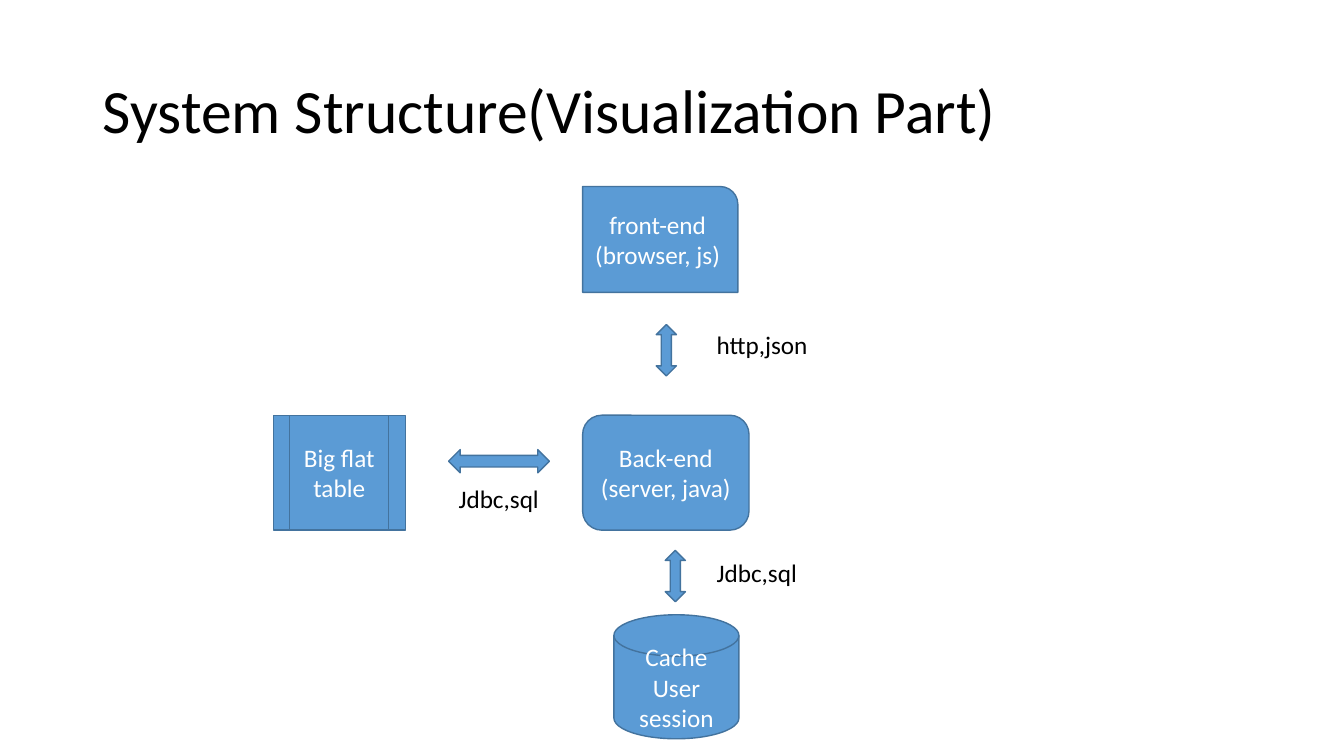
from pptx import Presentation
from pptx.dml.color import RGBColor
from pptx.enum.shapes import MSO_SHAPE
from pptx.enum.text import MSO_ANCHOR, MSO_AUTO_SIZE, PP_ALIGN
from pptx.util import Inches, Pt

SLIDE_WIDTH = Inches(13.333)
SLIDE_HEIGHT = Inches(7.5)
BLUE = RGBColor(0x5B, 0x9B, 0xD5)
DARK_BLUE = RGBColor(0x43, 0x73, 0x9E)
WHITE = RGBColor(0xFF, 0xFF, 0xFF)
BLACK = RGBColor(0x00, 0x00, 0x00)

BACK_END_LEFT = 43.35
MIDDLE_TOP = 54.93
MIDDLE_HEIGHT = 15.2
JDBC_LEFT = 33.38
LABEL_LEFT = 52.58
HTTP_TOP = 42.93
VERTICAL_ARROW = (1.5, 6.8)


def box(left, top, width, height):
    """Turn percentages of the slide into lengths."""
    return (
        int(SLIDE_WIDTH * left / 100),
        int(SLIDE_HEIGHT * top / 100),
        int(SLIDE_WIDTH * width / 100),
        int(SLIDE_HEIGHT * height / 100),
    )


def write(frame, text, size, color, align):
    frame.text = text
    for paragraph in frame.paragraphs:
        paragraph.alignment = align
        paragraph.font.name = "Calibri"
        paragraph.font.size = Pt(size)
        paragraph.font.color.rgb = color


def add_title(slide, text):
    title = slide.shapes.title
    title.left, title.top, title.width, title.height = box(6.9, 5.33, 86.27, 19.33)
    frame = title.text_frame
    write(frame, text, 44, BLACK, PP_ALIGN.LEFT)
    frame.vertical_anchor = MSO_ANCHOR.MIDDLE
    frame.auto_size = MSO_AUTO_SIZE.NONE
    frame.paragraphs[0].line_spacing = 0.9


def add_blue_shape(slide, preset, *area):
    shape = slide.shapes.add_shape(preset, *box(*area))
    shape.shadow.inherit = False
    shape.fill.solid()
    shape.fill.fore_color.rgb = BLUE
    shape.line.color.rgb = DARK_BLUE
    shape.line.width = Pt(1)
    return shape


def add_component(slide, preset, text, *area):
    frame = add_blue_shape(slide, preset, *area).text_frame
    frame.word_wrap = True
    frame.vertical_anchor = MSO_ANCHOR.MIDDLE
    write(frame, text, 18, WHITE, PP_ALIGN.CENTER)


def add_protocol(slide, text, left, top, width):
    frame = slide.shapes.add_textbox(*box(left, top, width, 5.33)).text_frame
    frame.word_wrap = False
    frame.auto_size = MSO_AUTO_SIZE.SHAPE_TO_FIT_TEXT
    write(frame, text, 18, BLACK, PP_ALIGN.LEFT)


def main():
    deck = Presentation()
    deck.slide_width = SLIDE_WIDTH
    deck.slide_height = SLIDE_HEIGHT
    slide = deck.slides.add_slide(deck.slide_layouts[5])

    add_title(slide, "System Structure(Visualization Part)")

    add_component(slide, MSO_SHAPE.FLOWCHART_PREDEFINED_PROCESS, "Big flat table",
                  20.33, MIDDLE_TOP, 9.83, MIDDLE_HEIGHT)
    add_component(slide, MSO_SHAPE.FLOWCHART_MAGNETIC_DISK, "Cache\nUser\nsession",
                  45.68, 81.33, 9.3, 16.4)
    add_component(slide, MSO_SHAPE.ROUNDED_RECTANGLE, "Back-end\n(server, java)",
                  BACK_END_LEFT, MIDDLE_TOP, 12.38, MIDDLE_HEIGHT)
    add_component(slide, MSO_SHAPE.ROUND_1_RECTANGLE, "front-end\n(browser, js)",
                  BACK_END_LEFT, 24.67, 11.55, 14)

    add_blue_shape(slide, MSO_SHAPE.LEFT_RIGHT_ARROW, JDBC_LEFT, 59.47, 7.5, 3.07)
    add_blue_shape(slide, MSO_SHAPE.UP_DOWN_ARROW, 49.5, 72.8, *VERTICAL_ARROW)
    add_blue_shape(slide, MSO_SHAPE.UP_DOWN_ARROW, 48.83, HTTP_TOP, *VERTICAL_ARROW)

    add_protocol(slide, "Jdbc,sql", LABEL_LEFT, 73.07, 7.58)
    add_protocol(slide, "Jdbc,sql", JDBC_LEFT, 63.33, 7.58)
    add_protocol(slide, "http,json", LABEL_LEFT, HTTP_TOP, 8.4)

    deck.save("out.pptx")


if __name__ == "__main__":
    main()
